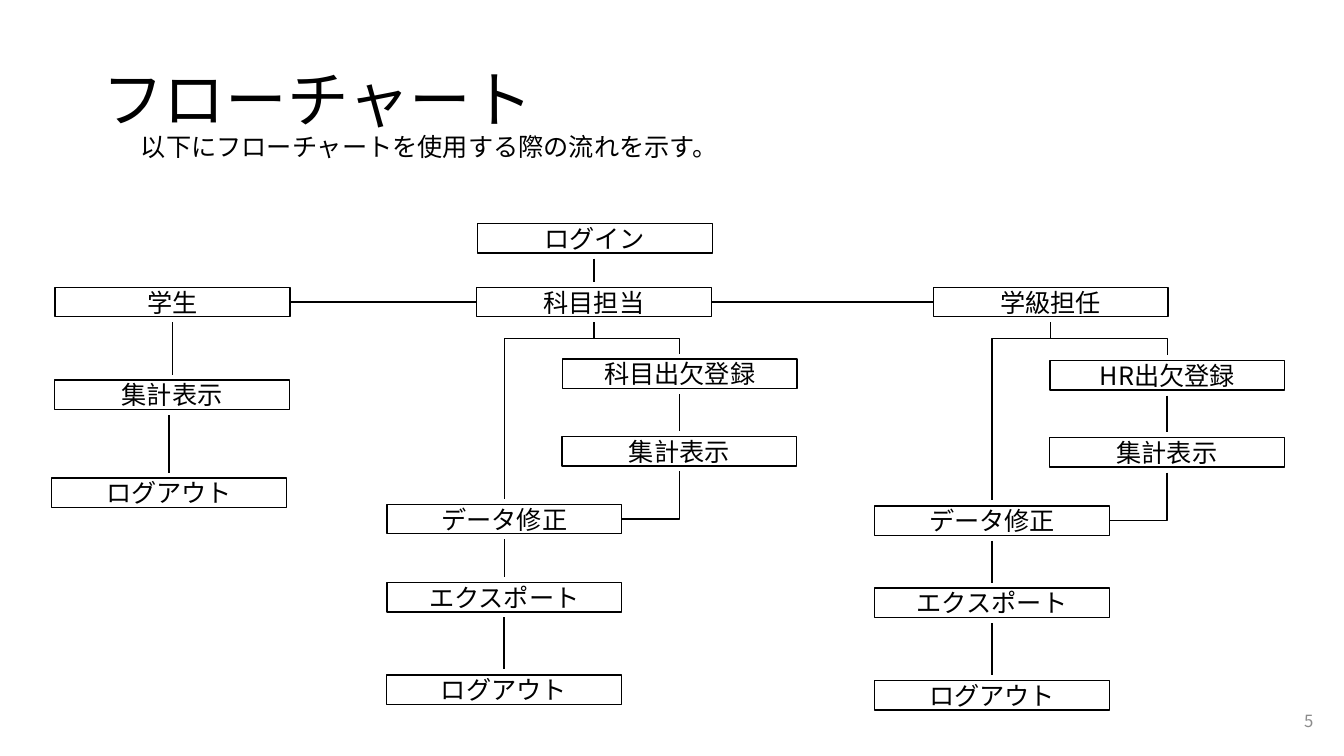
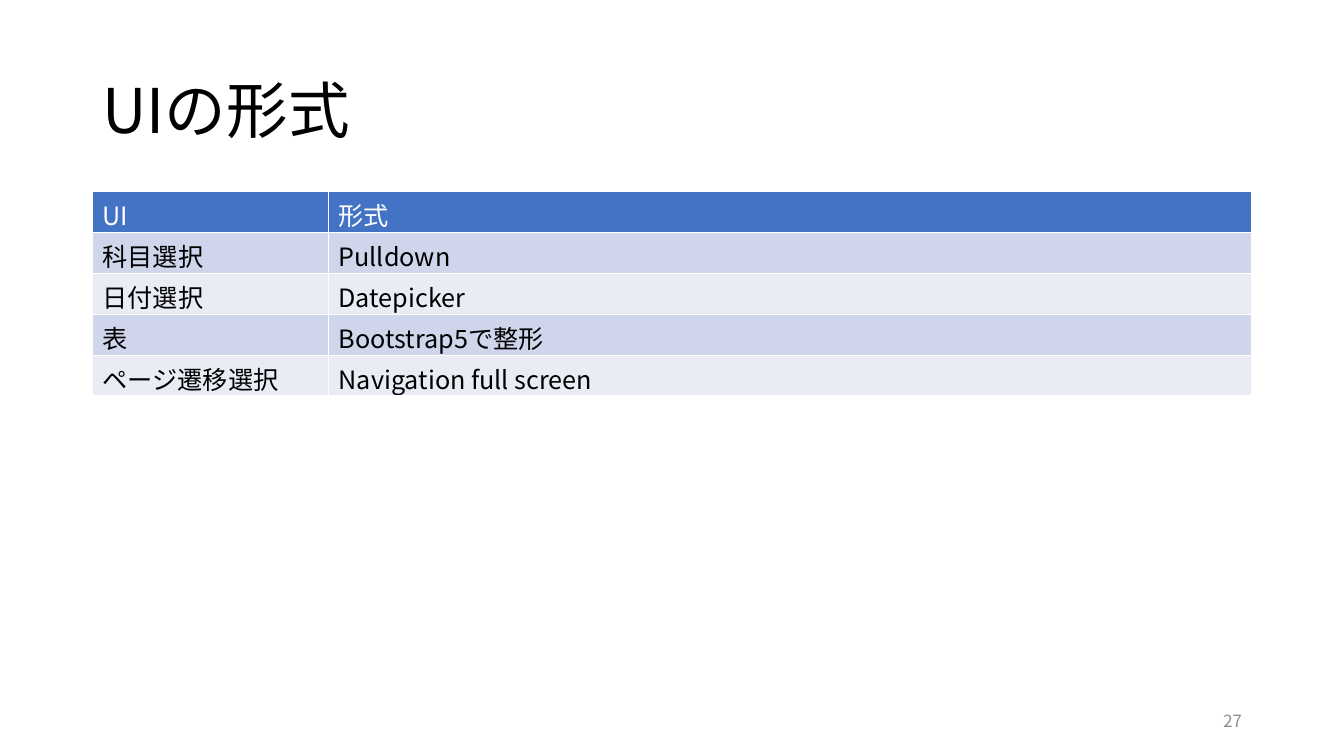
from lxml.etree import SubElement
from pptx import Presentation
from pptx.dml.color import RGBColor
from pptx.enum.shapes import MSO_CONNECTOR, MSO_SHAPE
from pptx.enum.text import MSO_ANCHOR, PP_ALIGN
from pptx.oxml.ns import qn
from pptx.util import Cm, Pt

FONT = "Noto Sans CJK JP"
COLORS = {
    "text": "000000", "number": "8C8C8C", "white": "FFFFFF",
    "header": "4472C4", "band_dark": "CFD5EA", "band_light": "E9EBF5",
}


def write(frame, text, size=18, color="text", align=PP_ALIGN.LEFT, anchor=MSO_ANCHOR.MIDDLE):
    """Put one styled run into a text frame."""
    frame.word_wrap = True
    frame.vertical_anchor = anchor
    paragraph = frame.paragraphs[0]
    paragraph.alignment = align
    run = paragraph.add_run()
    run.text = text
    run.font.size = Pt(size)
    run.font.name = FONT
    run.font.color.rgb = RGBColor.from_string(COLORS[color])
    SubElement(run.font._element, qn("a:ea"), typeface=FONT)
    return paragraph


def connect(shapes, x1, y1, x2, y2, kind="line", bend_y=None):
    """Draw a straight line, or an elbow that leaves its start downwards."""
    if kind == "line":
        connector = shapes.add_connector(MSO_CONNECTOR.STRAIGHT, Cm(x1), Cm(y1), Cm(x2), Cm(y2))
    else:
        # An elbow starts sideways, so it is laid flat and turned a quarter
        to_right = x2 > x1
        middle_x, middle_y = (x1 + x2) / 2, (y1 + y2) / 2
        half_length = (y2 - y1) / 2 * (-1 if to_right else 1)
        half_width = abs(x2 - x1) / 2
        connector = shapes.add_connector(
            MSO_CONNECTOR.ELBOW,
            Cm(middle_x - half_length), Cm(middle_y - half_width),
            Cm(middle_x + half_length), Cm(middle_y + half_width))
        properties = connector._element.spPr
        properties.find(qn("a:xfrm")).set("rot", "16200000" if to_right else "5400000")
        geometry = properties.find(qn("a:prstGeom"))
        geometry.set("prst", kind)
        if bend_y is not None:
            share = round((bend_y - y1) / (y2 - y1) * 100000)
            SubElement(geometry.find(qn("a:avLst")), qn("a:gd"), name="adj1", fmla=f"val {share}")
    connector.line.color.rgb = RGBColor.from_string(COLORS["text"])
    connector.line.width = Pt(1)
    SubElement(connector._element.spPr, qn("a:effectLst"))


presentation = Presentation()
presentation.slide_width = Cm(33.87)
presentation.slide_height = Cm(19.05)

# Titles and slide numbers
slides = []
for title, title_top, number, number_left in [
    ("フローチャート", 0.74, "5", 25.73),
    ("UIの形式", 1.02, "27", 23.93),
]:
    slide = presentation.slides.add_slide(presentation.slide_layouts[6])
    title_box = slide.shapes.add_textbox(Cm(2.33), Cm(title_top), Cm(29.21), Cm(3.68))
    write(title_box.text_frame, title, 44).line_spacing = 0.9
    number_box = slide.shapes.add_textbox(Cm(number_left), Cm(17.67), Cm(7.62), Cm(1.01))
    write(number_box.text_frame, number, 12, "number", PP_ALIGN.RIGHT)
    slides.append(slide)
flow_slide, table_slide = slides

# Flowchart introduction
shapes = flow_slide.shapes
intro_box = shapes.add_textbox(Cm(3.3), Cm(3.18), Cm(16.5), Cm(1.03))
write(intro_box.text_frame, "以下にフローチャートを使用する際の流れを示す。", anchor=MSO_ANCHOR.TOP)

# Flowchart boxes: label, centre, top
BOX_WIDTH, BOX_HEIGHT, GAP = 5.92, 0.74, 0.14
ROLE_TOP, BEND_Y = 7.24, 8.53
login = ("ログイン", 14.99, 5.64)
student = ("学生", 4.35, ROLE_TOP)
subject = ("科目担当", 14.97, ROLE_TOP)
homeroom = ("学級担任", 26.48, ROLE_TOP)
student_steps = [student, ("集計表示", 4.34, 9.58), ("ログアウト", 4.26, 12.05)]
branches = [
    (subject,
     [("科目出欠登録", 17.13, 9.05), ("集計表示", 17.12, 11)],
     [("データ修正", 12.71, 12.71), ("エクスポート", 12.71, 14.68), ("ログアウト", 12.7, 17.01)]),
    (homeroom,
     [("HR出欠登録", 29.42, 9.09), ("集計表示", 29.41, 11.03)],
     [("データ修正", 25, 12.75), ("エクスポート", 25, 14.82), ("ログアウト", 25, 17.15)]),
]
chains = [[login, subject], student_steps]
for role, entry_steps, edit_steps in branches:
    chains += [[role], entry_steps, edit_steps]

boxes = dict.fromkeys(box for chain in chains for box in chain)
for label, centre, top in boxes:
    box = shapes.add_shape(MSO_SHAPE.RECTANGLE, Cm(centre - BOX_WIDTH / 2), Cm(top),
                           Cm(BOX_WIDTH), Cm(BOX_HEIGHT))
    box.shadow.inherit = False
    box.fill.background()
    box.line.color.rgb = RGBColor.from_string(COLORS["text"])
    box.line.width = Pt(1)
    frame = box.text_frame
    frame.margin_top = frame.margin_bottom = 0
    write(frame, label, align=PP_ALIGN.CENTER)

# Lines down each chain
for chain in chains:
    for (_, _, upper_top), (_, centre, lower_top) in zip(chain, chain[1:]):
        connect(shapes, centre, upper_top + BOX_HEIGHT + GAP, centre, lower_top - GAP)

# Lines between the roles
role_middle = ROLE_TOP + BOX_HEIGHT / 2
for (_, left_centre, _), (_, right_centre, _) in [(student, subject), (subject, homeroom)]:
    connect(shapes, left_centre + BOX_WIDTH / 2, role_middle,
            right_centre - BOX_WIDTH / 2, role_middle)

# Elbows that split below a role and join again at the edit step
for (_, role_centre, role_top), entry_steps, edit_steps in branches:
    for _, centre, top in (entry_steps[0], edit_steps[0]):
        connect(shapes, role_centre, role_top + BOX_HEIGHT + GAP, centre, top - GAP,
                "bentConnector3", BEND_Y)
    _, total_centre, total_top = entry_steps[-1]
    _, edit_centre, edit_top = edit_steps[0]
    connect(shapes, total_centre, total_top + BOX_HEIGHT + GAP,
            edit_centre + BOX_WIDTH / 2, edit_top + BOX_HEIGHT / 2, "bentConnector2")

# Table of UI forms
rows = [
    ("UI", "形式"),
    ("科目選択", "Pulldown"),
    ("日付選択", "Datepicker"),
    ("表", "Bootstrap5で整形"),
    ("ページ遷移選択", "Navigation full screen"),
]
ROW_HEIGHT = 1.03
table = table_slide.shapes.add_table(len(rows), 2, Cm(2.33), Cm(4.83), Cm(29.21),
                                     Cm(ROW_HEIGHT * len(rows))).table
table.first_row = table.horz_banding = False
for column, width in zip(table.columns, (5.95, 23.26)):
    column.width = Cm(width)
for row_index, values in enumerate(rows):
    table.rows[row_index].height = Cm(ROW_HEIGHT)
    if row_index == 0:
        fill, color = "header", "white"
    else:
        fill, color = ("band_dark" if row_index % 2 else "band_light"), "text"
    for column_index, value in enumerate(values):
        cell = table.cell(row_index, column_index)
        write(cell.text_frame, value, color=color)
        cell_properties = cell._tc.get_or_add_tcPr()
        for side in ("lnL", "lnR", "lnT", "lnB"):
            border = SubElement(cell_properties, qn(f"a:{side}"), w=str(Pt(1)))
            border_fill = SubElement(border, qn("a:solidFill"))
            SubElement(border_fill, qn("a:srgbClr"), val=COLORS["white"])
        cell.fill.solid()
        cell.fill.fore_color.rgb = RGBColor.from_string(COLORS[fill])

presentation.save("out.pptx")
